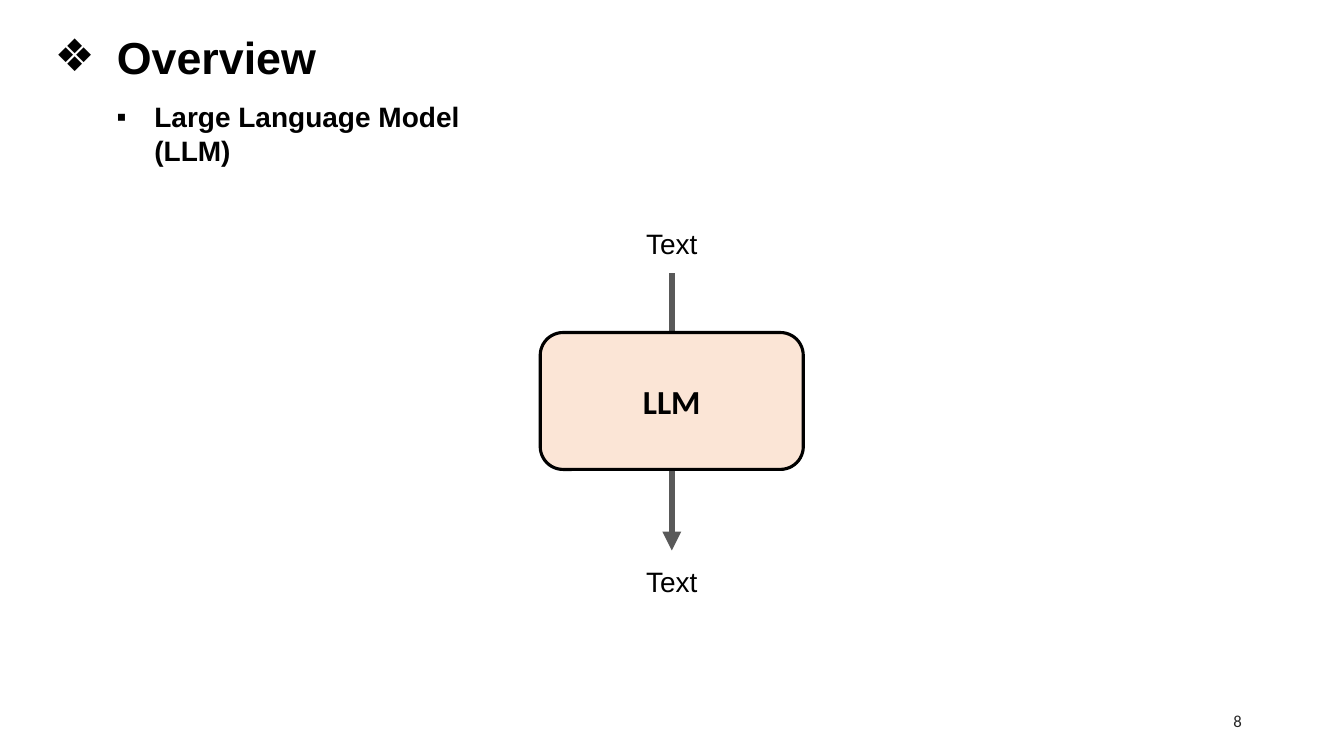
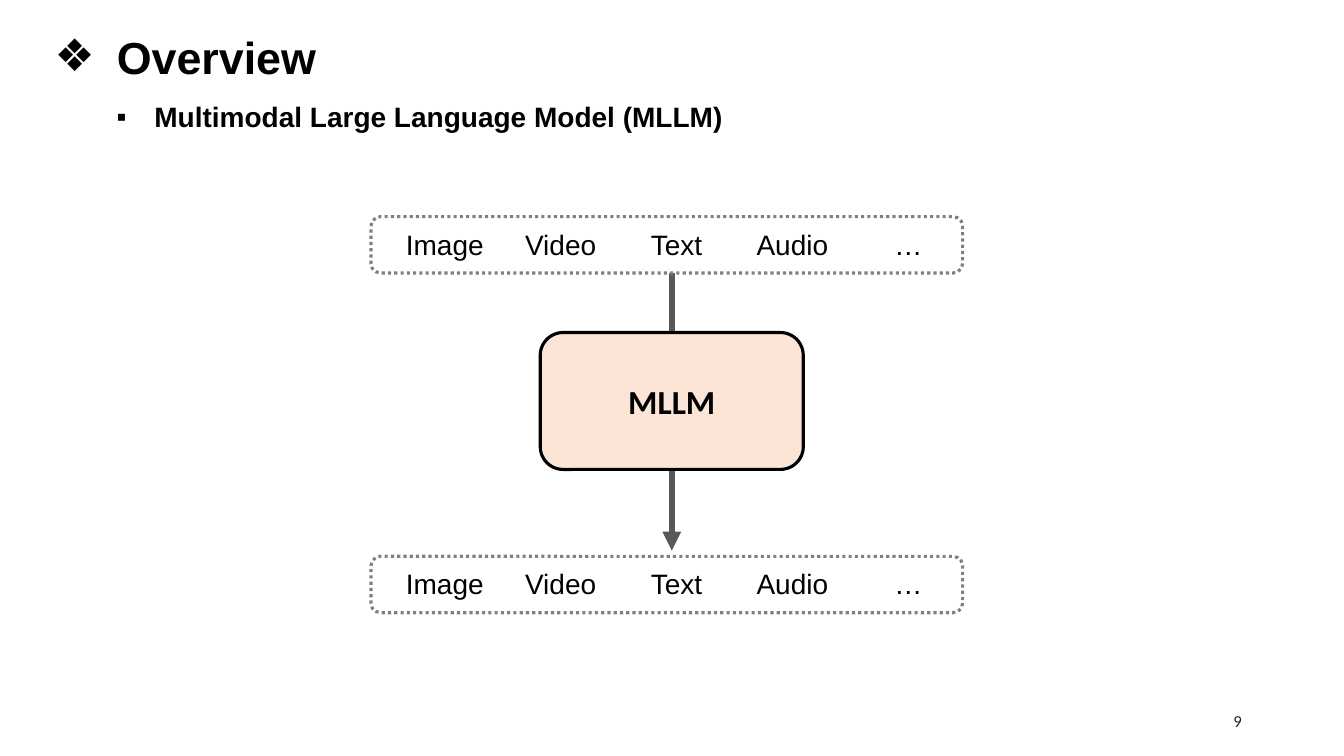
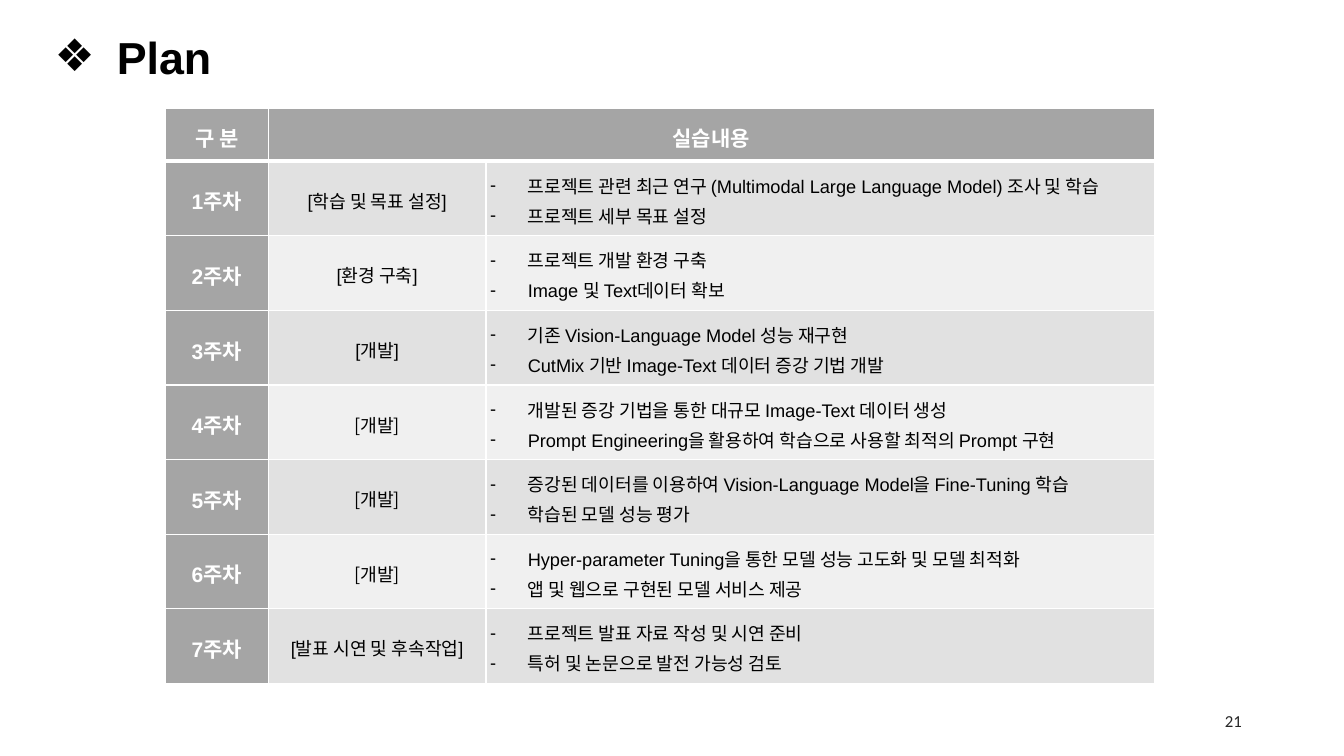
from dataclasses import dataclass, replace

from lxml.etree import SubElement
from pptx import Presentation
from pptx.dml.color import RGBColor
from pptx.enum.dml import MSO_LINE
from pptx.enum.shapes import MSO_CONNECTOR, MSO_SHAPE
from pptx.enum.text import MSO_ANCHOR, MSO_AUTO_SIZE, PP_ALIGN
from pptx.oxml.ns import qn
from pptx.util import Cm, Pt


@dataclass(frozen=True)
class TextStyle:
    """Look of one kind of paragraph."""
    size: float
    color: str = "000000"
    bold: bool = False
    align: PP_ALIGN = PP_ALIGN.LEFT
    font: str = "Arial"
    bullet: str = ""
    indent: float = 0
    spacing: float = 1.0


@dataclass(frozen=True)
class Theme:
    """Colours and text styles shared by the slides."""
    model_fill: str = "FBE5D6"
    outline: str = "000000"
    flow: str = "595959"
    frame: str = "808080"
    rule: str = "FFFFFF"
    head_fill: str = "A5A5A5"
    bands: tuple = ("E1E1E1", "F0F0F0")
    asian_font: str = "Noto Sans CJK KR"
    title: TextStyle = TextStyle(32, bold=True, bullet="❖", indent=1.57)
    subtitle: TextStyle = TextStyle(20, bold=True, bullet="▪", indent=0.95)
    page: TextStyle = TextStyle(12, "262626", align=PP_ALIGN.RIGHT, font="Calibri")
    label: TextStyle = TextStyle(20, align=PP_ALIGN.CENTER)
    model: TextStyle = TextStyle(24, bold=True, align=PP_ALIGN.CENTER, font="Calibri")
    head: TextStyle = TextStyle(15, "FFFFFF", True, PP_ALIGN.CENTER, spacing=1.15)
    stage: TextStyle = TextStyle(13, align=PP_ALIGN.CENTER, spacing=1.15)
    task: TextStyle = TextStyle(13, bullet="-", indent=0.95, spacing=1.15)


THEME = Theme()
CENTER_X = 16.93
LABEL_W, LABEL_H = 3.28, 1.12
MODALITIES = ("Image", "Video", "Text", "Audio", "…")
PLAN = (
    ("학습 및 목표 설정", "Arial",
     ("프로젝트 관련 최근 연구 (Multimodal Large Language Model) 조사 및 학습",
      "프로젝트 세부 목표 설정")),
    ("환경 구축", "Arial",
     ("프로젝트 개발 환경 구축", "Image 및 Text데이터 확보")),
    ("개발", "Arial",
     ("기존 Vision-Language Model 성능 재구현",
      "CutMix 기반 Image-Text 데이터 증강 기법 개발")),
    ("개발", THEME.asian_font,
     ("개발된 증강 기법을 통한 대규모 Image-Text 데이터 생성",
      "Prompt Engineering을 활용하여 학습으로 사용할 최적의 Prompt 구현")),
    ("개발", THEME.asian_font,
     ("증강된 데이터를 이용하여 Vision-Language Model을 Fine-Tuning 학습",
      "학습된 모델 성능 평가")),
    ("개발", THEME.asian_font,
     ("Hyper-parameter Tuning을 통한 모델 성능 고도화 및 모델 최적화",
      "앱 및 웹으로 구현된 모델 서비스 제공")),
    ("발표 시연 및 후속작업", "Arial",
     ("프로젝트 발표 자료 작성 및 시연 준비", "특허 및 논문으로 발전 가능성 검토")),
)


def rgb(value):
    """Return a colour from its hex digits."""
    return RGBColor.from_string(value)


def apply(obj, **values):
    """Set each named attribute of an object."""
    for name, value in values.items():
        setattr(obj, name, value)


def write(tf, lines, style):
    """Fill a text frame with one paragraph per line."""
    for i, line in enumerate(lines):
        p = tf.add_paragraph() if i else tf.paragraphs[0]
        if style.bullet:
            pPr = p._p.get_or_add_pPr()
            pPr.set("marL", str(Cm(style.indent)))
            pPr.set("indent", str(-Cm(style.indent)))
            SubElement(pPr, qn("a:buFont"), typeface=style.font)
            SubElement(pPr, qn("a:buChar"), char=style.bullet)
        apply(p, alignment=style.align, line_spacing=style.spacing)
        r = p.add_run()
        r.text = line
        apply(r.font, name=style.font, size=Pt(style.size), bold=style.bold)
        r.font.color.rgb = rgb(style.color)
        SubElement(r._r.get_or_add_rPr(), qn("a:ea"), typeface=THEME.asian_font)


def add_text(s, text, style, x, y, w, h, anchor=MSO_ANCHOR.TOP):
    """Add a wrapping text box."""
    tf = s.shapes.add_textbox(Cm(x), Cm(y), Cm(w), Cm(h)).text_frame
    apply(tf, word_wrap=True, vertical_anchor=anchor)
    write(tf, [text], style)


def add_slide(prs, title, page):
    """Add a slide with its bulleted title and page number."""
    s = prs.slides.add_slide(prs.slide_layouts[5])
    sp = s.shapes.title
    apply(sp, left=Cm(1.12), top=Cm(0.61), width=Cm(28.22), height=Cm(1.63))
    apply(sp.text_frame, word_wrap=True, vertical_anchor=MSO_ANCHOR.TOP,
          auto_size=MSO_AUTO_SIZE.SHAPE_TO_FIT_TEXT)
    write(sp.text_frame, [title], THEME.title)
    add_text(s, page, THEME.page, 23.93, 17.65, 7.62, 1.02, MSO_ANCHOR.MIDDLE)
    return s


def add_round_box(s, x, y, w, h, line, fill=None, dash=None):
    """Add a rounded rectangle, filled or open."""
    sp = s.shapes.add_shape(MSO_SHAPE.ROUNDED_RECTANGLE, Cm(x), Cm(y), Cm(w), Cm(h))
    sp.shadow.inherit = False
    if fill:
        sp.fill.solid()
        sp.fill.fore_color.rgb = rgb(fill)
    else:
        sp.fill.background()
    apply(sp.line, width=Pt(2.25), dash_style=dash)
    sp.line.color.rgb = rgb(line)
    return sp


def add_flow_arrow(s, x, top, bottom):
    """Add a thick downward arrow."""
    line = s.shapes.add_connector(MSO_CONNECTOR.STRAIGHT, Cm(x), Cm(top), Cm(x), Cm(bottom))
    line.line.width = Pt(4.5)
    line.line.color.rgb = rgb(THEME.flow)
    SubElement(line.line._get_or_add_ln(), qn("a:tailEnd"), type="triangle")
    SubElement(line._element.spPr, qn("a:effectLst"))


def add_model(s, name):
    """Add the model box with the flow passing behind it."""
    add_flow_arrow(s, CENTER_X, 6.88, 13.87)
    w = 6.63
    sp = add_round_box(s, CENTER_X - w / 2, 8.38, w, 3.45, THEME.outline, THEME.model_fill)
    sp.text_frame.vertical_anchor = MSO_ANCHOR.MIDDLE
    write(sp.text_frame, [name], THEME.model)


def add_modalities(s, top):
    """Add a dotted frame holding one label per modality."""
    for i, name in enumerate(MODALITIES):
        add_text(s, name, THEME.label, 9.57 + 2.92 * i, top + 0.14, LABEL_W, LABEL_H)
    add_round_box(s, 9.35, top, 14.91, 1.42, THEME.frame, dash=MSO_LINE.ROUND_DOT)


def fill_cell(cell, lines, style, fill, margin=0.1, top=1, bottom=1):
    """Write a table cell and set its fill and borders."""
    apply(cell, vertical_anchor=MSO_ANCHOR.MIDDLE, margin_left=Cm(margin),
          margin_right=Cm(margin), margin_top=0, margin_bottom=0)
    tcPr = cell._tc.get_or_add_tcPr()
    for side, width in (("L", 1), ("R", 1), ("T", top), ("B", bottom)):
        ln = SubElement(tcPr, qn(f"a:ln{side}"), w=str(Pt(width)))
        SubElement(SubElement(ln, qn("a:solidFill")), qn("a:srgbClr"), val=THEME.rule)
    cell.fill.solid()
    cell.fill.fore_color.rgb = rgb(fill)
    write(cell.text_frame, lines, style)


def add_plan_table(s):
    """Add the weekly plan table."""
    widths, head_h, row_h = (2.59, 5.49, 16.84), 1.32, 1.88
    table = s.shapes.add_table(len(PLAN) + 1, len(widths), Cm(4.17), Cm(2.74), Cm(sum(widths)),
                               Cm(head_h + row_h * len(PLAN))).table
    for column, width in zip(table.columns, widths):
        column.width = Cm(width)
    for i, row in enumerate(table.rows):
        row.height = Cm(row_h if i else head_h)
    table.cell(0, 1).merge(table.cell(0, 2))
    for col, text in enumerate(("구 분", "실습내용")):
        fill_cell(table.cell(0, col), [text], THEME.head, THEME.head_fill, 0.08, bottom=3)
    for week, (stage, font, tasks) in enumerate(PLAN, 1):
        top = 3 if week == 1 else 1
        band = THEME.bands[(week - 1) % 2]
        fill_cell(table.cell(week, 0), [f"{week}주차"], THEME.head, THEME.head_fill, 0.08, top)
        fill_cell(table.cell(week, 1), [f"[{stage}]"], replace(THEME.stage, font=font),
                  band, top=top)
        fill_cell(table.cell(week, 2), tasks, THEME.task, band, top=top)


def main():
    """Build and save the three slides."""
    prs = Presentation()
    apply(prs, slide_width=Cm(33.87), slide_height=Cm(19.05))

    s = add_slide(prs, "Overview", "8")
    add_text(s, "Large Language Model (LLM)", THEME.subtitle, 2.69, 2.39, 11.05, LABEL_H)
    add_model(s, "LLM")
    for y in (5.59, 14.1):
        add_text(s, "Text", THEME.label, CENTER_X - LABEL_W / 2, y, LABEL_W, LABEL_H)

    s = add_slide(prs, "Overview", "9")
    add_text(s, "Multimodal Large Language Model (MLLM)", THEME.subtitle,
             2.69, 2.39, 16.92, LABEL_H)
    add_model(s, "MLLM")
    for top in (5.46, 14.02):
        add_modalities(s, top)

    s = add_slide(prs, "Plan", "21")
    add_plan_table(s)
    prs.save("out.pptx")


if __name__ == "__main__":
    main()
